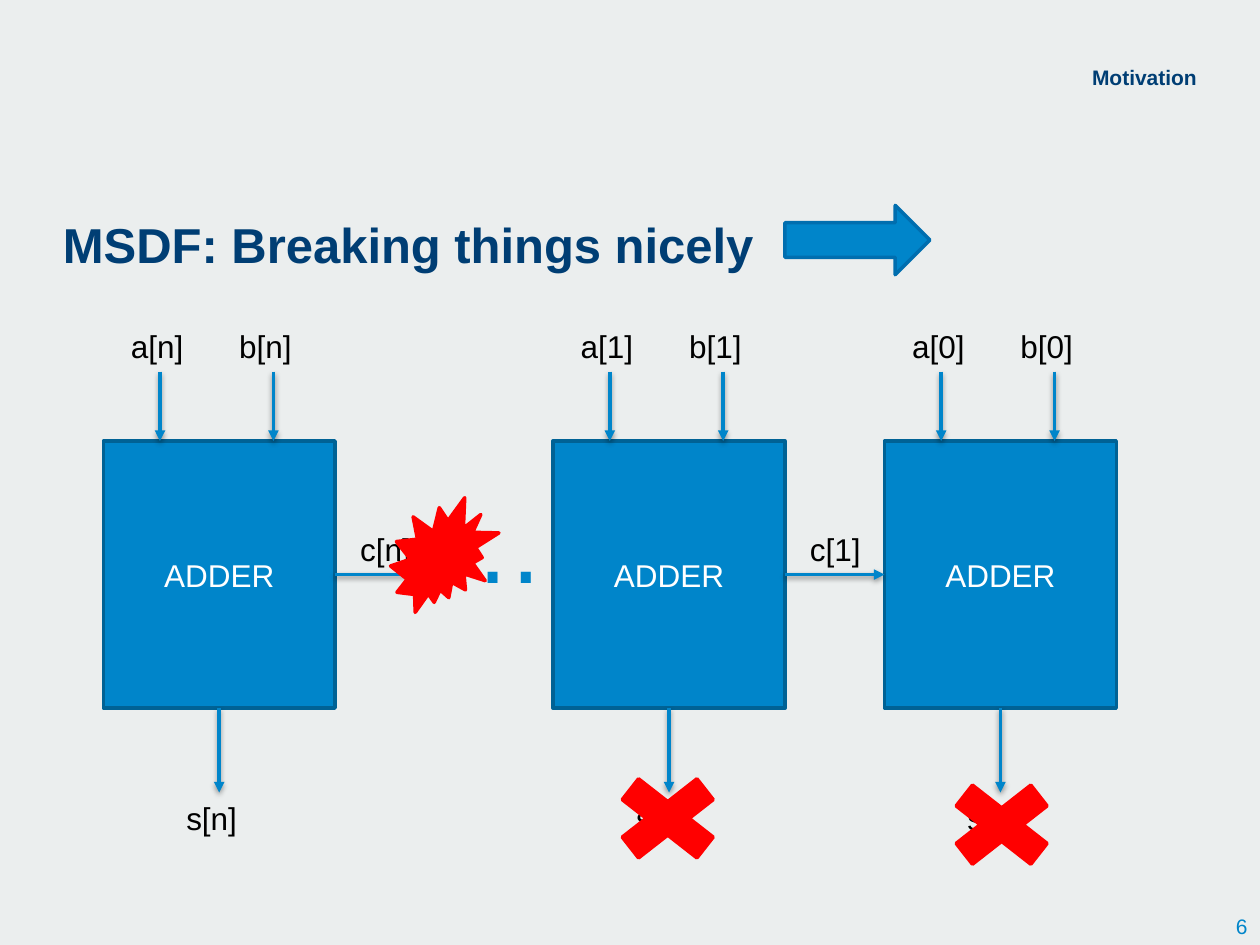
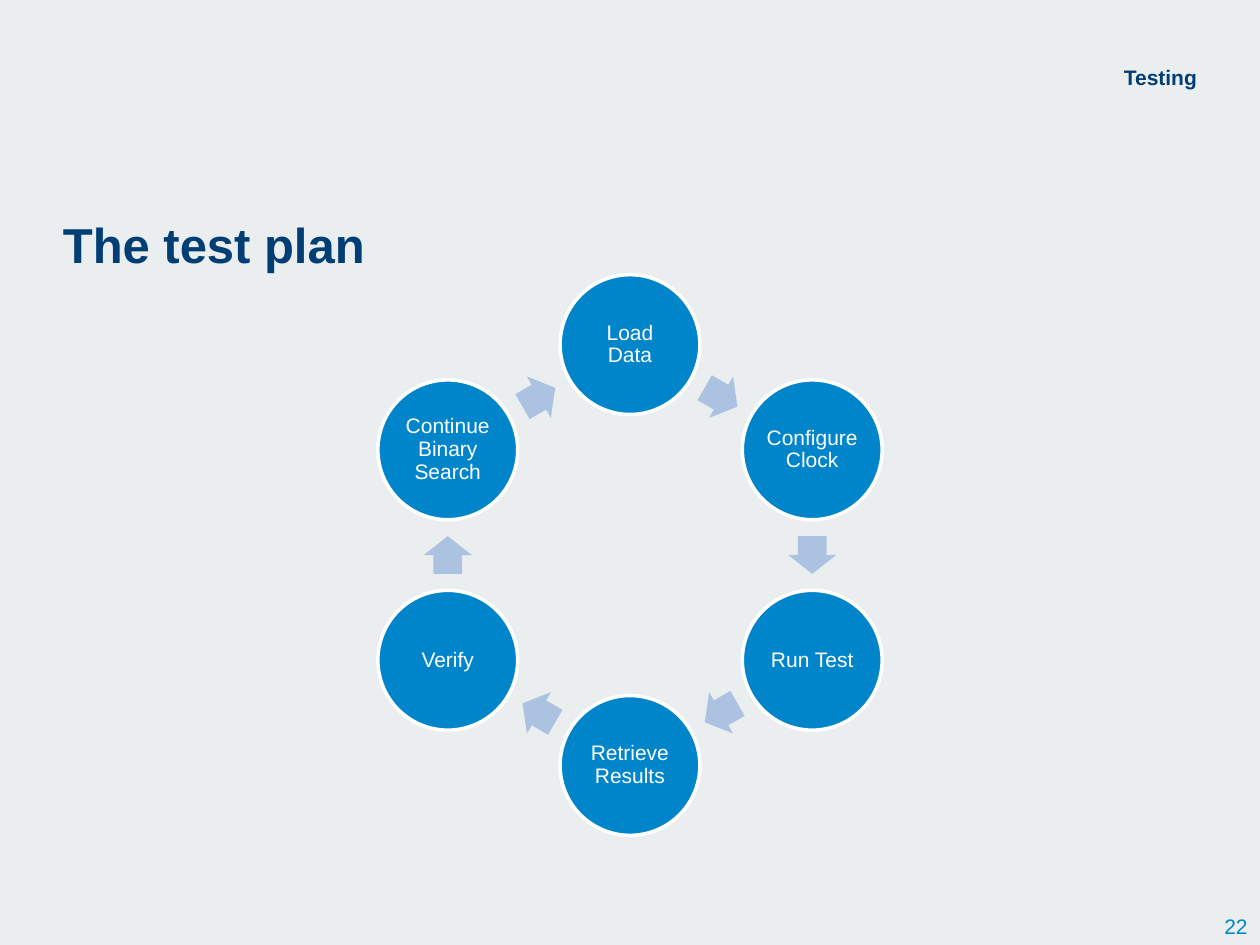
import math

from lxml import etree
from pptx import Presentation
from pptx.dml.color import RGBColor
from pptx.enum.shapes import MSO_CONNECTOR, MSO_SHAPE
from pptx.enum.text import MSO_ANCHOR, PP_ALIGN
from pptx.oxml.ns import qn
from pptx.util import Inches, Pt

STRAIGHT = MSO_CONNECTOR.STRAIGHT
RECTANGLE, OVAL = MSO_SHAPE.RECTANGLE, MSO_SHAPE.OVAL
RIGHT_ARROW, CROSS, BURST = MSO_SHAPE.RIGHT_ARROW, MSO_SHAPE.MATH_MULTIPLY, MSO_SHAPE.EXPLOSION2
TOP, MIDDLE = MSO_ANCHOR.TOP, MSO_ANCHOR.MIDDLE
LEFT, CENTER, RIGHT = PP_ALIGN.LEFT, PP_ALIGN.CENTER, PP_ALIGN.RIGHT

FONT = "Arial"
COLORS = {
    "background": "EBEEEE",
    "blue": "0085CA",
    "navy": "003E74",
    "adder_edge": "006295",
    "arrow_edge": "006EAF",
    "cycle_arrow": "ABC2E1",
    "red": "FF0000",
    "white": "FFFFFF",
    "black": "000000",
}
BOTTOM_SITE, LEFT_SITE, RIGHT_SITE = 2, 1, 3
STAGE_TOP, ADDER_TOP = 2.55, 3.5
ADDER_WIDTH, ADDER_HEIGHT = 1.84, 2.12


def color(name):
    return RGBColor.from_string(COLORS[name])


def write_text(shape, text, size=18, fill="black", bold=False, align=LEFT,
               anchor=TOP, insets=(0.1, 0.05, 0.1, 0.05), line_spacing=None):
    frame = shape.text_frame
    frame.word_wrap = True
    frame.vertical_anchor = anchor
    (frame.margin_left, frame.margin_top,
     frame.margin_right, frame.margin_bottom) = map(Inches, insets)
    paragraph = frame.paragraphs[0]
    paragraph.alignment = align
    paragraph.line_spacing = line_spacing
    run = paragraph.add_run()
    run.text = text
    run.font.name = FONT
    run.font.size = Pt(size)
    run.font.bold = bold
    run.font.color.rgb = color(fill)


def add_text(slide, box, text, **text_format):
    write_text(slide.shapes.add_textbox(*map(Inches, box)), text, **text_format)


def add_shape(slide, kind, box, fill, line=None, rotation=0):
    shape = slide.shapes.add_shape(kind, *map(Inches, box))
    shape.shadow.inherit = False
    shape.rotation = rotation
    shape.fill.solid()
    shape.fill.fore_color.rgb = color(fill)
    if line:
        shape.line.color.rgb = color(line)
        shape.line.width = Pt(2)
    else:
        shape.line.fill.background()
    return shape


def add_arrow(slide, start, end):
    connector = slide.shapes.add_connector(STRAIGHT, *map(Inches, start + end))
    connector.line.color.rgb = color("blue")
    connector.line.width = Pt(2)
    line = connector.line._get_or_add_ln()
    etree.SubElement(line, qn("a:tailEnd"), type="triangle")
    # Soft shadow straight below the line
    effects = etree.SubElement(connector._element.spPr, qn("a:effectLst"))
    shadow = etree.SubElement(effects, qn("a:outerShdw"), blurRad=str(Pt(3.1)),
                              dist=str(Pt(1.6)), dir="5400000", rotWithShape="0")
    shade = etree.SubElement(shadow, qn("a:srgbClr"), val=COLORS["black"])
    etree.SubElement(shade, qn("a:alpha"), val="38000")
    return connector


def add_base_slide(presentation, title, section, number):
    slide = presentation.slides.add_slide(presentation.slide_layouts[6])
    slide.background.fill.solid()
    slide.background.fill.fore_color.rgb = color("background")
    add_text(slide, (9.59, 7.2, 0.41, 0.3), number, size=12, fill="blue", align=RIGHT)
    add_text(slide, (0.5, 1.63, 9, 0.56), title, size=28, fill="navy", bold=True,
             anchor=MIDDLE, insets=(0, 0.05, 0, 0))
    add_text(slide, (6.93, 0.51, 2.57, 0.34), section, size=12, fill="navy",
             bold=True, align=RIGHT, insets=(0, 0, 0, 0))
    return slide


def add_adder_stage(slide, left, index):
    """Draw one adder with its inputs and its sum, and return its box."""
    adder = add_shape(slide, RECTANGLE, (left, ADDER_TOP, ADDER_WIDTH, ADDER_HEIGHT),
                      "blue", "adder_edge")
    write_text(adder, "ADDER", fill="white", align=CENTER, anchor=MIDDLE)

    # Inputs
    for name, label_offset, arrow_offset in (("a", 0.12, 0.45), ("b", 0.98, 1.35)):
        add_text(slide, (left + label_offset, STAGE_TOP, 0.72, 0.4), f"{name}[{index}]")
        x = left + arrow_offset
        add_arrow(slide, (x, STAGE_TOP + 0.4), (x, ADDER_TOP))

    # Sum
    center, bottom = left + ADDER_WIDTH / 2, ADDER_TOP + ADDER_HEIGHT
    sum_arrow = add_arrow(slide, (center, bottom), (center, bottom + 0.67))
    sum_arrow.begin_connect(adder, BOTTOM_SITE)
    add_text(slide, (left + 0.56, bottom + 0.67, 0.72, 0.4), f"s[{index}]")
    return adder


def add_carry(slide, left, index, source, target=None):
    start, y = left + ADDER_WIDTH, ADDER_TOP + ADDER_HEIGHT / 2
    carry = add_arrow(slide, (start, y), (start + 0.78, y))
    carry.begin_connect(source, RIGHT_SITE)
    if target:
        carry.end_connect(target, LEFT_SITE)
    add_text(slide, (start + 0.1, y - 0.4, 0.9, 0.4), f"c[{index}]")


def build_adder_slide(presentation):
    slide = add_base_slide(presentation, "MSDF: Breaking things nicely", "Motivation", "6")

    # Adder chain
    stages = {"n": 0.82, "1": 4.39, "0": 7.02}
    adders = {index: add_adder_stage(slide, left, index) for index, left in stages.items()}
    add_carry(slide, stages["n"], "n", adders["n"])
    add_carry(slide, stages["1"], "1", adders["1"], adders["0"])
    add_text(slide, (3.4, 3.75, 0.9, 1.11), "…", size=60, fill="blue")

    # Broken carry and lost sums
    add_shape(slide, BURST, (3.1, 3.95, 0.86, 0.91), "red", "red")
    for left, top in ((4.73, 6.05), (7.38, 6.1)):
        add_shape(slide, CROSS, (left, top, 1.14, 0.89), "red", "red")

    # Direction of computation
    add_shape(slide, RIGHT_ARROW, (6.23, 1.63, 1.15, 0.55), "blue", "arrow_edge")


def add_cycle(slide, box, steps):
    """Place the steps clockwise on a ring, with an arrow after each."""
    left, top, width, height = box
    center_x, center_y = left + width / 2, top + height / 2
    diameter = 1.11
    radius = (height - diameter) / 2
    turn = 360 / len(steps)
    arrow_width, arrow_height = 0.3, 0.38

    def box_on_ring(degrees, distance, box_width, box_height):
        angle = math.radians(degrees)
        return (center_x + distance * math.sin(angle) - box_width / 2,
                center_y - distance * math.cos(angle) - box_height / 2,
                box_width, box_height)

    for position, step in enumerate(steps):
        degrees = position * turn
        node = add_shape(slide, OVAL, box_on_ring(degrees, radius, diameter, diameter),
                         "blue", "white")
        write_text(node, step, size=12, fill="white", align=CENTER, anchor=MIDDLE,
                   insets=(0.02,) * 4, line_spacing=0.9)
        # Arrow halfway to the next step
        halfway = degrees + turn / 2
        distance = radius * math.cos(math.radians(turn / 2))
        arrow = add_shape(slide, RIGHT_ARROW,
                          box_on_ring(halfway, distance, arrow_width, arrow_height),
                          "cycle_arrow", rotation=halfway)
        arrow.adjustments[0] = 0.6
        arrow.adjustments[1] = 0.5


def build_test_plan_slide(presentation):
    slide = add_base_slide(presentation, "The test plan", "Testing", "22")
    add_cycle(slide, (3, 2.18, 4, 4.45),
              ["Load Data", "Configure Clock", "Run Test",
               "Retrieve Results", "Verify", "Continue Binary Search"])


def main():
    presentation = Presentation()
    presentation.slide_width = Inches(10)
    presentation.slide_height = Inches(7.5)
    build_adder_slide(presentation)
    build_test_plan_slide(presentation)
    presentation.save("out.pptx")


if __name__ == "__main__":
    main()
